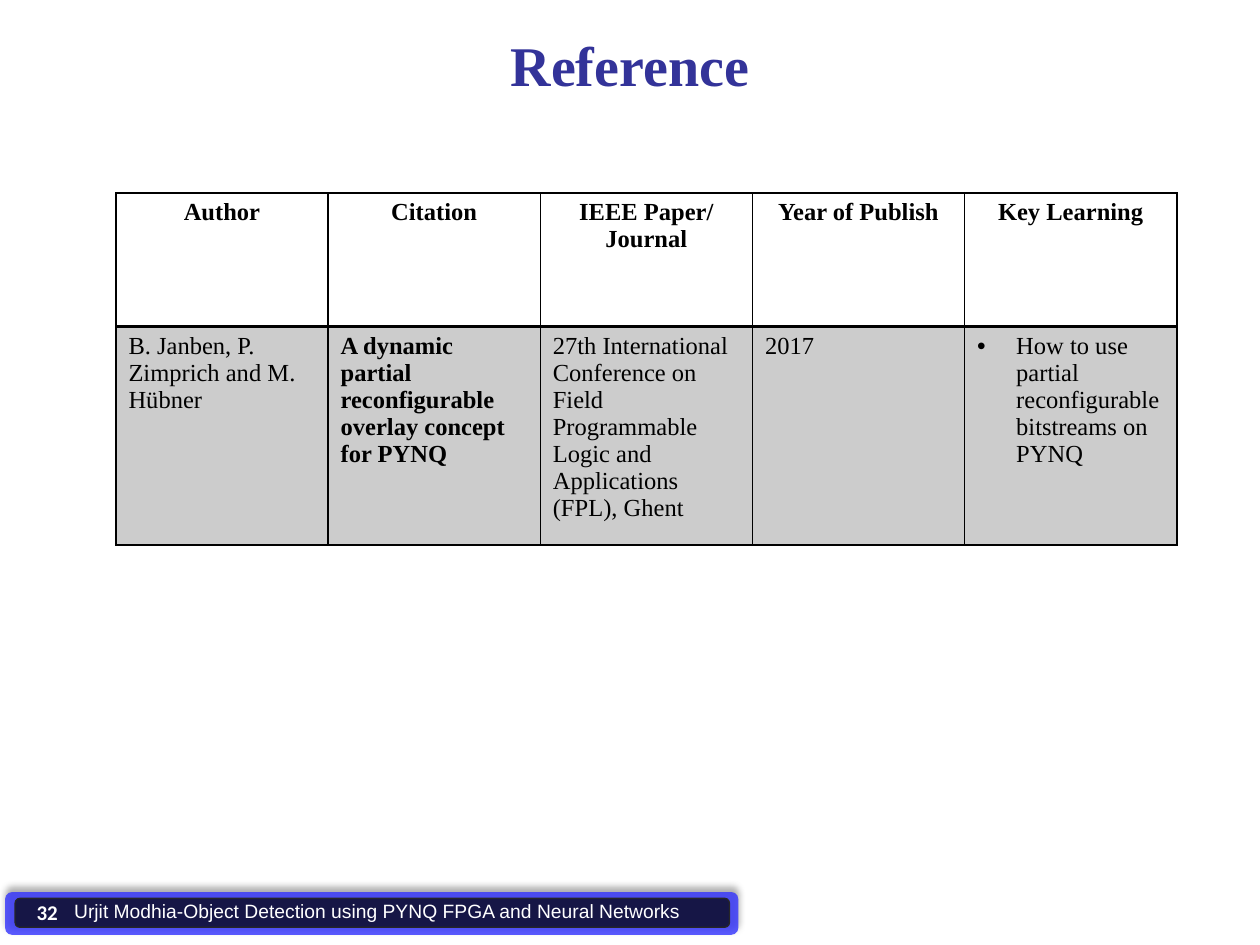
from typing import NamedTuple, Optional

from lxml.etree import SubElement
from pptx import Presentation
from pptx.dml.color import RGBColor
from pptx.enum.shapes import MSO_SHAPE
from pptx.enum.text import MSO_ANCHOR, PP_ALIGN
from pptx.oxml.ns import qn
from pptx.util import Inches, Pt

BLACK = RGBColor(0x00, 0x00, 0x00)
WHITE = RGBColor(0xFF, 0xFF, 0xFF)
INDIGO = RGBColor(0x33, 0x33, 0x99)
BLUE = RGBColor(0x33, 0x33, 0xFF)
EDGE = RGBColor(0x26, 0x26, 0x26)
SERIF = "Times New Roman"


class Box(NamedTuple):
    left: float
    top: float
    width: float
    height: float

    def lengths(self) -> list:
        return [Inches(v) for v in self]


class Column(NamedTuple):
    head: str
    body: str
    bold: bool = False
    bullet: bool = False


COLUMNS = [
    Column("Author", "B. Janben, P. Zimprich and M. Hübner"),
    Column("Citation",
           "A dynamic partial reconfigurable overlay concept for PYNQ", bold=True),
    Column("IEEE Paper/\nJournal",
           "27th International Conference on Field Programmable Logic "
           "and Applications (FPL), Ghent"),
    Column("Year of Publish", "2017"),
    Column("Key Learning",
           "How to use partial reconfigurable bitstreams on PYNQ", bullet=True),
]


def style(para, size: float, name: str, color: RGBColor, bold: bool = False) -> None:
    font = para.font
    font.size, font.name, font.bold = Pt(size), name, bold
    font.color.rgb = color


def tint(fill, props, color: RGBColor, alpha: int) -> None:
    """Fill with a colour at the given opacity in percent."""
    fill.solid()
    fill.fore_color.rgb = color
    tone = props.find(qn("a:solidFill")).find(qn("a:srgbClr"))
    SubElement(tone, qn("a:alpha"), val=str(alpha * 1000))


def hang(para, depth: float) -> None:
    props = para._p.get_or_add_pPr()
    props.set("marL", str(Inches(depth)))
    props.set("indent", str(-Inches(depth)))


def add_bar(slide, box: Box, color: Optional[RGBColor] = None, alpha: int = 100):
    bar = slide.shapes.add_shape(MSO_SHAPE.ROUNDED_RECTANGLE, *box.lengths())
    bar.shadow.inherit = False
    bar.line.fill.background()
    if color is None:
        bar.fill.background()
    else:
        tint(bar.fill, bar._element.spPr, color, alpha)
    return bar


def add_glow(bar) -> None:
    """Soft shadow cast upwards."""
    effects = bar._element.spPr.find(qn("a:effectLst"))
    shade = SubElement(effects, qn("a:outerShdw"), blurRad=str(Pt(4)),
                       dist=str(Pt(3)), dir=str(270 * 60000), rotWithShape="0")
    tone = SubElement(shade, qn("a:srgbClr"), val=str(BLACK))
    SubElement(tone, qn("a:alpha"), val="40000")


def add_edges(cell, base: float) -> None:
    props = cell._tc.get_or_add_tcPr()
    for side, width in (("L", 1), ("R", 1), ("T", 1), ("B", base)):
        line = SubElement(props, qn(f"a:ln{side}"), w=str(Pt(width)))
        fill = SubElement(line, qn("a:solidFill"))
        SubElement(fill, qn("a:srgbClr"), val=str(BLACK))


def fill_head(cell, col: Column) -> None:
    add_edges(cell, 2)
    cell.fill.background()
    cell.text = col.head
    for para in cell.text_frame.paragraphs:
        para.alignment = PP_ALIGN.CENTER
        style(para, 14, SERIF, BLACK, True)


def fill_body(cell, col: Column) -> None:
    add_edges(cell, 1)
    tint(cell.fill, cell._tc.tcPr, BLACK, 20)
    cell.text = col.body
    para = cell.text_frame.paragraphs[0]
    if col.bullet:
        hang(para, 0.31)
        props = para._p.get_or_add_pPr()
        SubElement(props, qn("a:buFont"), typeface="Arial")
        SubElement(props, qn("a:buChar"), char="•")
    style(para, 14, SERIF, BLACK, col.bold)


def add_footer(slide) -> None:
    outer = add_bar(slide, Box(0.04, 7.08, 5.82, 0.34), BLUE, 80)
    add_glow(outer)
    inner = add_bar(slide, Box(0.12, 7.13, 5.67, 0.23), BLACK, 70)
    inner.line.color.rgb = EDGE
    inner.line.width = Pt(0.75)

    # Page number
    page = add_bar(slide, Box(0.08, 7.07, 0.59, 0.34)).text_frame
    page.text = "32"
    page.vertical_anchor = MSO_ANCHOR.MIDDLE
    para = page.paragraphs[0]
    para.alignment = PP_ALIGN.CENTER
    hang(para, 0.38)
    style(para, 12, "Calibri", WHITE, True)

    # Running title
    label = slide.shapes.add_textbox(*Box(0.49, 7.09, 5.87, 0.44).lengths())
    label.text_frame.word_wrap = True
    label.text_frame.text = "Urjit Modhia-Object Detection using PYNQ FPGA and Neural Networks"
    style(label.text_frame.paragraphs[0], 11, "Arial", WHITE)


def add_title(slide) -> None:
    title = slide.shapes.title
    title.left, title.top, title.width, title.height = Box(0.5, 0.19, 9, 1.25).lengths()
    title.text_frame.text = "Reference"
    title.text_frame.vertical_anchor = MSO_ANCHOR.TOP
    para = title.text_frame.paragraphs[0]
    para.alignment = PP_ALIGN.CENTER
    style(para, 32, SERIF, INDIGO, True)


def add_papers(slide) -> None:
    place = Box(0.92, 1.53, 8.42, 2.67)
    table = slide.shapes.add_table(2, len(COLUMNS), *place.lengths()).table
    for row, height in zip(table.rows, (1.06, 1.61)):
        row.height = Inches(height)
    for i, col in enumerate(COLUMNS):
        fill_head(table.cell(0, i), col)
        fill_body(table.cell(1, i), col)


def main() -> None:
    deck = Presentation()
    deck.slide_width, deck.slide_height = Inches(10), Inches(7.5)
    slide = deck.slides.add_slide(deck.slide_layouts[5])
    add_footer(slide)
    add_title(slide)
    add_papers(slide)
    deck.save("out.pptx")


if __name__ == "__main__":
    main()
